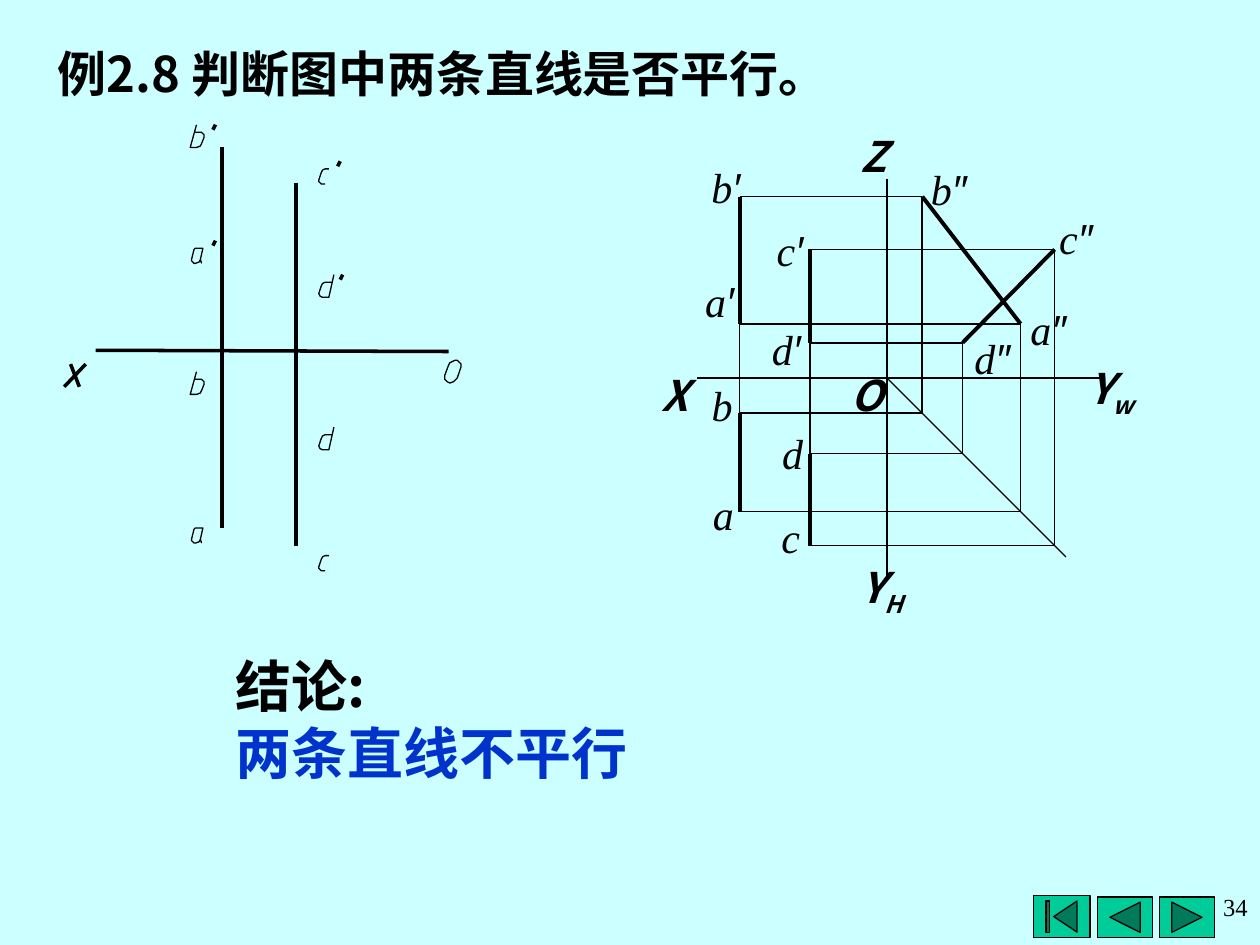
from lxml import etree
from pptx import Presentation
from pptx.dml.color import RGBColor
from pptx.enum.shapes import MSO_CONNECTOR, MSO_SHAPE
from pptx.enum.text import MSO_ANCHOR, MSO_AUTO_SIZE, PP_ALIGN
from pptx.oxml.ns import qn
from pptx.util import Cm, Pt

STRAIGHT = MSO_CONNECTOR.STRAIGHT
LEFT, CENTER, RIGHT = PP_ALIGN.LEFT, PP_ALIGN.CENTER, PP_ALIGN.RIGHT
TOP, MIDDLE = MSO_ANCHOR.TOP, MSO_ANCHOR.MIDDLE
FIT_NONE = MSO_AUTO_SIZE.NONE
TO_START = MSO_SHAPE.ACTION_BUTTON_BEGINNING
TO_PREVIOUS = MSO_SHAPE.ACTION_BUTTON_BACK_OR_PREVIOUS
TO_NEXT = MSO_SHAPE.ACTION_BUTTON_FORWARD_OR_NEXT

COLORS = {"background": "CCFFFF", "ink": "000000", "answer": "0033CC",
          "button": "00CC99"}
HEADING_FONT, LETTER_FONT, PRIME_FONT = "Noto Sans CJK SC", "Times New Roman", "Arial"
HAIRLINE, DIAGONAL, THIN, HEAVY = 0, 0.75, 1, 2.25

# Pen strokes of the single-line letters, in hundredths of an inch
STROKES = {
    "a": [(8, 12), (7, 9), (9, 0), (3, 0), (2, 1), (0, 9), (0, 10), (2, 12),
          (3, 12), (6, 11), (7, 9)],
    "b": [(5, 0), (0, 18), (5, 18), (8, 17), (9, 15), (11, 10), (11, 8),
          (9, 6), (4, 6)],
    "c": [(8, 0), (5, 0), (3, 1), (2, 3), (0, 9), (0, 10), (2, 12), (5, 12)],
    "d": [(12, 0), (8, 18), (3, 18), (1, 17), (0, 15), (2, 9), (3, 7), (5, 6),
          (11, 6)],
    "O": [(4, 18), (7, 17), (10, 14), (13, 5), (13, 3), (11, 1), (10, 0),
          (8, 0), (4, 2), (3, 4), (0, 12), (0, 15), (2, 17), (4, 18)],
}


def inches(value):
    return Cm(value * 2.54)


def rgb(name):
    return RGBColor.from_string(COLORS[name])


def style_run(run, font, size, color="ink", bold=False, italic=False):
    run.font.name, run.font.size = font, Pt(size)
    run.font.bold, run.font.italic = bold, italic
    run.font.color.rgb = rgb(color)
    east_asian = etree.SubElement(run.font._element, qn("a:ea"))
    east_asian.set("typeface", font)


def place(shape, left, top, width, height):
    shape.left, shape.top = inches(left), inches(top)
    shape.width, shape.height = inches(width), inches(height)


def add_segment(slide, start, end, weight):
    segment = slide.shapes.add_connector(STRAIGHT, *map(inches, (*start, *end)))
    segment.line.color.rgb = rgb("ink")
    segment.line.width = Pt(weight)
    etree.SubElement(segment._element.spPr, qn("a:effectLst"))


def add_stroke_letter(slide, letter, left, top):
    points = [(left * 100 + x, top * 100 + y) for x, y in STROKES[letter]]
    builder = slide.shapes.build_freeform(*points[0], scale=inches(0.01))
    builder.add_line_segments(points[1:], close=False)
    outline = builder.convert_to_shape()
    outline.shadow.inherit = False
    outline.fill.background()
    outline.line.color.rgb = rgb("ink")
    outline.line.width = Pt(HAIRLINE)


def add_label(slide, box, text, align, anchor):
    label = slide.shapes.add_textbox(*map(inches, box))
    frame = label.text_frame
    frame.word_wrap = False
    frame.vertical_anchor = anchor
    frame.text = text
    frame.paragraphs[0].alignment = align
    return frame.paragraphs[0]


def add_point_label(slide, letter, primes, left, top, width):
    paragraph = add_label(slide, (left, top, width, 0.5), letter, CENTER, MIDDLE)
    style_run(paragraph.runs[0], LETTER_FONT, 24, italic=True)
    if primes:
        prime = paragraph.add_run()
        prime.text = primes
        style_run(prime, PRIME_FONT, 24, italic=True)


def add_axis_label(slide, axis, plane, left, top):
    paragraph = add_label(slide, (left, top, 0.63, 0.5), axis, LEFT, TOP)
    paragraph.line_spacing = Pt(28.8)
    if plane:
        paragraph.add_run().text = plane
    for run in paragraph.runs:
        style_run(run, HEADING_FONT, 24, bold=True, italic=True)
    if plane:
        paragraph.runs[1].font._element.set("baseline", "-25000")


def add_button(slide, kind, left, top, width, height):
    button = slide.shapes.add_shape(kind, *map(inches, (left, top, width, height)))
    button.shadow.inherit = False
    button.fill.solid()
    button.fill.fore_color.rgb = rgb("button")
    button.line.color.rgb = rgb("ink")
    button.line.width = Pt(0.75)


def fill_title(title):
    place(title, 0.36, 0.29, 7.32, 0.57)
    frame = title.text_frame
    frame.text = "例2.8 判断图中两条直线是否平行。"
    frame.auto_size, frame.vertical_anchor = FIT_NONE, MIDDLE
    heading = frame.paragraphs[0]
    heading.alignment, heading.line_spacing = LEFT, Pt(33.6)
    style_run(heading.runs[0], HEADING_FONT, 28, bold=True)


def fill_conclusion(conclusion):
    place(conclusion, 1.77, 5.12, 3.78, 1.17)
    frame = conclusion.text_frame
    frame.text = "结论:\n两条直线不平行"
    frame.auto_size, frame.vertical_anchor = FIT_NONE, TOP
    for paragraph, color in zip(frame.paragraphs, ("ink", "answer")):
        properties = paragraph._p.get_or_add_pPr()
        properties.set("marL", str(inches(0.5)))
        properties.set("indent", str(-inches(0.5)))
        etree.SubElement(properties, qn("a:buNone"))
        paragraph.line_spacing, paragraph.space_before = Pt(38.4), Pt(0)
        style_run(paragraph.runs[0], HEADING_FONT, 32, color, bold=True)


def draw_two_view(slide):
    # X axis with its end letters
    add_segment(slide, (0.76, 2.78), (3.56, 2.79), HAIRLINE)
    add_segment(slide, (0.56, 2.89), (0.63, 3.07), HAIRLINE)
    add_segment(slide, (0.68, 2.89), (0.51, 3.07), HAIRLINE)
    add_stroke_letter(slide, "O", 3.53, 2.86)

    # Both lines: front view, projector, top view
    for x, levels in ((1.76, (1.17, 2.03, 3.1, 4.19)),
                      (2.35, (1.45, 2.31, 3.52, 4.33))):
        for upper, lower, weight in zip(levels, levels[1:], (HEAVY, HAIRLINE, HEAVY)):
            add_segment(slide, (x, upper), (x, lower), weight)

    # Point letters and the primes of the front view
    for letter, x, y in (("b", 1.51, 0.99), ("a", 1.52, 1.97), ("b", 1.51, 2.95),
                         ("a", 1.52, 4.19), ("c", 2.53, 1.34), ("d", 2.53, 2.18),
                         ("d", 2.53, 3.39), ("c", 2.53, 4.41)):
        add_stroke_letter(slide, letter, x, y)
    for x, y in ((1.69, 1.03), (1.69, 1.95), (2.68, 1.32), (2.7, 2.22)):
        add_segment(slide, (x, y), (x + 0.02, y - 0.04), HAIRLINE)


def draw_three_view(slide):
    # Axes and the 45-degree transfer line
    origin_x, origin_y = 7.04, 3
    add_segment(slide, (5.53, origin_y), (8.73, origin_y), THIN)
    add_segment(slide, (origin_x, 1.42), (origin_x, 4.58), THIN)
    add_segment(slide, (origin_x, origin_y), (8.46, 4.42), DIAGONAL)

    # Each line as x, then (front, top) heights of its two points
    for x, points in ((5.87, ((1.56, 3.28), (2.57, 4.06))),
                      (6.43, ((1.98, 4.33), (2.72, 3.6)))):
        profile = []
        for front, top in points:
            side = origin_x + top - origin_y
            add_segment(slide, (x, front), (side, front), THIN)
            add_segment(slide, (x, top), (side, top), THIN)
            add_segment(slide, (side, top), (side, front), THIN)
            profile.append((side, front))
        fronts, tops = map(sorted, zip(*points))
        add_segment(slide, (x, fronts[0]), (x, fronts[1]), HEAVY)
        add_segment(slide, (x, fronts[1]), (x, tops[0]), THIN)
        add_segment(slide, (x, tops[0]), (x, tops[1]), HEAVY)
        add_segment(slide, *profile, HEAVY)

    # Names of the points and axes
    for label in (("a", "", 5.56, 3.83, 0.36), ("b", "", 5.55, 2.96, 0.36),
                  ("c", "", 6.1, 4.01, 0.35), ("d", "", 6.11, 3.34, 0.36),
                  ("a", "′", 5.35, 2.14, 0.72), ("b", "′", 5.52, 1.23, 0.48),
                  ("c", "′", 6.04, 1.73, 0.46), ("d", "′", 6, 2.52, 0.48),
                  ("a", "″", 7.99, 2.36, 0.66), ("b", "″", 7.17, 1.25, 0.72),
                  ("c", "″", 8.29, 1.64, 0.5), ("d", "″", 7.51, 2.59, 0.73)):
        add_point_label(slide, *label)
    for label in (("X", "", 5.15, 2.88), ("O", "", 6.65, 2.88), ("Z", "", 6.73, 0.99),
                  ("Y", "w", 8.54, 2.88), ("Y", "H", 6.73, 4.46)):
        add_axis_label(slide, *label)


def main():
    deck = Presentation()
    deck.slide_width, deck.slide_height = inches(10), inches(7.5)
    slide = deck.slides.add_slide(deck.slide_layouts[1])
    slide.background.fill.solid()
    slide.background.fill.fore_color.rgb = rgb("background")

    fill_title(slide.shapes.title)
    fill_conclusion(slide.placeholders[1])
    draw_two_view(slide)
    draw_three_view(slide)

    # Navigation buttons and page number
    add_button(slide, TO_START, 8.2, 7.11, 0.45, 0.33)
    add_button(slide, TO_PREVIOUS, 8.71, 7.12, 0.44, 0.32)
    add_button(slide, TO_NEXT, 9.2, 7.12, 0.44, 0.32)
    page = add_label(slide, (7.48, 7.03, 2.52, 0.4), "34", RIGHT, TOP)
    style_run(page.runs[0], LETTER_FONT, 14)

    deck.save("out.pptx")


if __name__ == "__main__":
    main()
